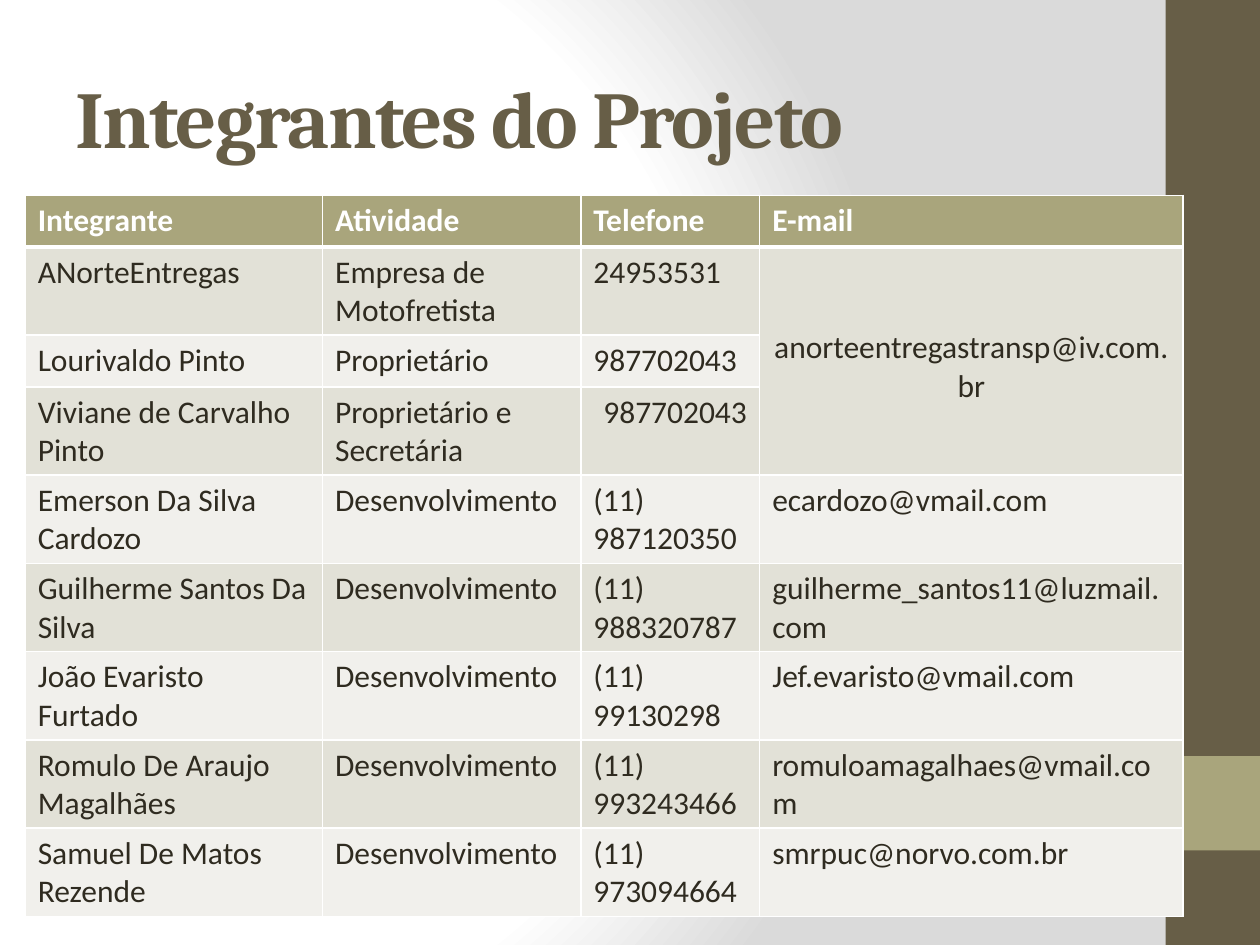
from dataclasses import dataclass

from lxml.etree import SubElement
from pptx import Presentation
from pptx.dml.color import RGBColor
from pptx.enum.shapes import MSO_SHAPE
from pptx.enum.text import MSO_ANCHOR, PP_ALIGN
from pptx.oxml import parse_xml
from pptx.oxml.ns import nsdecls, qn
from pptx.slide import Slide
from pptx.table import _Cell
from pptx.util import Inches, Pt


@dataclass(frozen=True)
class Theme:
    brown: str = "675E47"
    olive: str = "A9A57C"
    dark_band: str = "E2E1D7"
    light_band: str = "F1F0EC"
    ink: str = "2F2B20"
    white: str = "FFFFFF"
    gray: str = "DADADA"
    title_font: str = "Cambria"
    body_font: str = "Calibri"
    title_size: int = 46
    body_size: int = 18


@dataclass(frozen=True)
class Bar:
    top: float
    height: float
    color: str


@dataclass(frozen=True)
class Member:
    name: str
    activity: str
    phone: str
    email: str = ""


THEME = Theme()
BARS = [Bar(0, 7.5, THEME.brown), Bar(6, 0.75, THEME.olive)]
HEADER = Member("Integrante", "Atividade", "Telefone", "E-mail")
MEMBERS = [
    Member("ANorteEntregas", "Empresa de Motofretista", "24953531",
           "anorteentregastransp@iv.com.br"),
    Member("Lourivaldo Pinto", "Proprietário", "987702043"),
    Member("Viviane de Carvalho Pinto", "Proprietário e Secretária", "987702043"),
    Member("Emerson Da Silva Cardozo", "Desenvolvimento", "(11) 987120350",
           "ecardozo@vmail.com"),
    Member("Guilherme Santos Da Silva", "Desenvolvimento", "(11)\n988320787",
           "guilherme_santos11@luzmail.com"),
    Member("João Evaristo Furtado", "Desenvolvimento", "(11)\n99130298",
           "Jef.evaristo@vmail.com"),
    Member("Romulo De Araujo Magalhães", "Desenvolvimento", "(11)\n993243466",
           "romuloamagalhaes@vmail.com"),
    Member("Samuel De Matos Rezende", "Desenvolvimento", "(11)\n973094664",
           "smrpuc@norvo.com.br"),
]
COLUMN_WIDTHS = [2.36, 2.05, 1.42, 3.36]
ONE_LINE, TWO_LINES = 0.41, 0.7
ROW_HEIGHTS = [ONE_LINE, TWO_LINES, ONE_LINE] + [TWO_LINES] * 6


def paint_background(slide: Slide) -> None:
    slide.background.fill.solid()
    properties = slide.element.find(f".//{qn('p:bgPr')}")
    solid = properties.find(qn("a:solidFill"))
    stops = [(0, THEME.white), (75, THEME.white), (100, THEME.gray)]
    stop_xml = "".join(
        f'<a:gs pos="{position * 1000}"><a:srgbClr val="{color}"/></a:gs>'
        for position, color in stops)
    properties.replace(solid, parse_xml(
        f'<a:gradFill {nsdecls("a")} rotWithShape="1"><a:gsLst>{stop_xml}</a:gsLst>'
        '<a:path path="circle"><a:fillToRect l="20000" t="50000" r="100000" b="50000"/>'
        '</a:path></a:gradFill>'))


def draw_bar(slide: Slide, bar: Bar) -> None:
    shape = slide.shapes.add_shape(MSO_SHAPE.RECTANGLE, Inches(9.25), Inches(bar.top),
                                   Inches(0.75), Inches(bar.height))
    shape.shadow.inherit = False
    shape.fill.solid()
    shape.fill.fore_color.rgb = RGBColor.from_string(bar.color)
    shape.line.fill.background()


def draw_title(slide: Slide, text: str) -> None:
    box = slide.shapes.add_textbox(Inches(0.5), Inches(0.3), Inches(8.33), Inches(1.25))
    frame = box.text_frame
    frame.word_wrap = True
    frame.vertical_anchor = MSO_ANCHOR.MIDDLE
    frame.text = text
    run = frame.paragraphs[0].runs[0]
    run.font.name = THEME.title_font
    run.font.size = Pt(THEME.title_size)
    run.font.bold = True
    run.font.color.rgb = RGBColor.from_string(THEME.brown)
    run.font._element.set("spc", "-100")


def set_borders(cell: _Cell, top: int, bottom: int) -> None:
    properties = cell._tc.get_or_add_tcPr()
    for side, width in {"L": 1, "R": 1, "T": top, "B": bottom}.items():
        line = SubElement(properties, qn(f"a:ln{side}"), w=str(Pt(width)))
        fill = SubElement(line, qn("a:solidFill"))
        SubElement(fill, qn("a:srgbClr"), val=THEME.white)


def fill_cell(cell: _Cell, text: str, row: int) -> None:
    is_header = row == 0
    band = THEME.dark_band if row % 2 else THEME.light_band
    set_borders(cell, top=3 if row == 1 else 1, bottom=3 if is_header else 1)
    cell.fill.solid()
    cell.fill.fore_color.rgb = RGBColor.from_string(THEME.olive if is_header else band)
    cell.text_frame.text = text
    for paragraph in cell.text_frame.paragraphs:
        font = paragraph.font
        for run in paragraph.runs:
            font = run.font
        font.name = THEME.body_font
        font.size = Pt(THEME.body_size)
        font.bold = is_header
        font.color.rgb = RGBColor.from_string(THEME.white if is_header else THEME.ink)


def draw_table(slide: Slide) -> None:
    table = slide.shapes.add_table(
        len(ROW_HEIGHTS), len(COLUMN_WIDTHS), Inches(0.2), Inches(1.55),
        Inches(sum(COLUMN_WIDTHS)), Inches(sum(ROW_HEIGHTS))).table
    table.horz_banding = False
    for column, width in zip(table.columns, COLUMN_WIDTHS):
        column.width = Inches(width)
    for row, height in zip(table.rows, ROW_HEIGHTS):
        row.height = Inches(height)
    for row, member in enumerate([HEADER, *MEMBERS]):
        texts = (member.name, member.activity, member.phone, member.email)
        for column, text in enumerate(texts):
            fill_cell(table.cell(row, column), text, row)

    # The company's e-mail is shared by its three rows
    shared = table.cell(1, 3)
    shared.merge(table.cell(3, 3))
    shared.vertical_anchor = MSO_ANCHOR.MIDDLE
    shared.margin_top = Inches(0.15)
    shared.text_frame.paragraphs[0].alignment = PP_ALIGN.CENTER
    table.cell(3, 2).text_frame.paragraphs[0].alignment = PP_ALIGN.RIGHT


def main() -> None:
    presentation = Presentation()
    presentation.slide_width = Inches(10)
    presentation.slide_height = Inches(7.5)
    slide = presentation.slides.add_slide(presentation.slide_layouts[6])

    # Background and side bars
    paint_background(slide)
    for bar in BARS:
        draw_bar(slide, bar)

    # Title and team table
    draw_title(slide, "Integrantes do Projeto")
    draw_table(slide)
    presentation.save("out.pptx")


if __name__ == "__main__":
    main()
